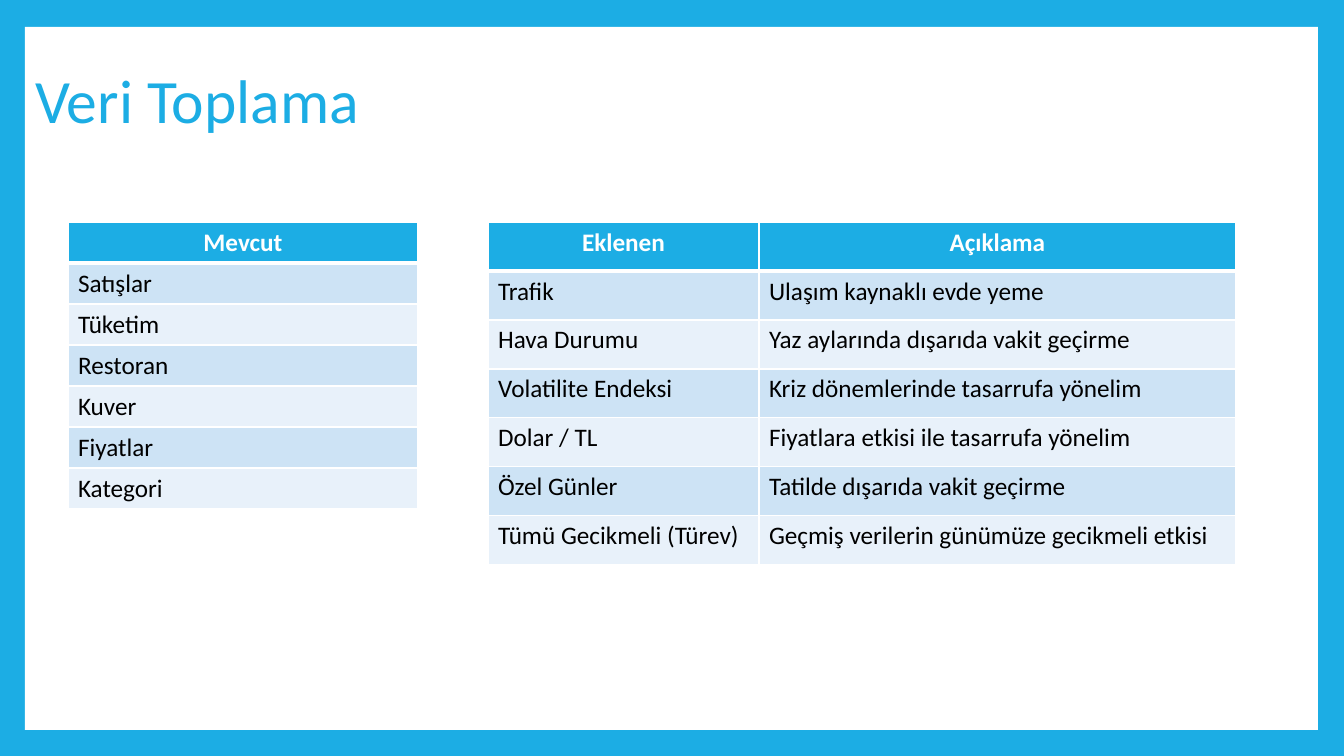
import pptx
import pptx.dml.color
import pptx.enum.shapes
import pptx.enum.text
import pptx.oxml
import pptx.oxml.ns
import pptx.util

THEME = {
    "accent": "1CADE4", "white": "FFFFFF", "black": "000000",
    "bands": ("CDE3F5", "E8F1FA"),
    "font": "Calibri", "title_size": 44, "table_size": 18,
    "thin": 1, "thick": 3,
}
RGB = pptx.dml.color.RGBColor.from_string
ALIGN = pptx.enum.text.PP_ALIGN
EMU_PER_PX = 12192000 / 1344


def px(*lengths):
    """Turn px lengths into a list of EMU lengths."""
    return [pptx.util.Emu(round(n * EMU_PER_PX)) for n in lengths]


def add_text(p, text, size, color, bold=False):
    r = p.add_run()
    r.text = text
    r.font.name, r.font.size, r.font.bold = THEME["font"], pptx.util.Pt(size), bold
    r.font.color.rgb = RGB(color)


prs = pptx.Presentation()
prs.slide_width, prs.slide_height = px(1344, 756)
s = prs.slides.add_slide(prs.slide_layouts[5])
s.background.fill.solid()
s.background.fill.fore_color.rgb = RGB(THEME["accent"])

# White panel, placed behind the title
panel = s.shapes.add_shape(pptx.enum.shapes.MSO_SHAPE.RECTANGLE, *px(25, 27, 1293, 703))
panel.shadow.inherit = False
panel.fill.solid()
panel.fill.fore_color.rgb = RGB(THEME["white"])
panel.line.fill.background()
s.shapes.title.element.addprevious(panel.element)

title = s.shapes.title
title.left, title.top, title.width, title.height = px(25, 29, 1089, 149)
tf = title.text_frame
tf.word_wrap = True
tf.vertical_anchor = pptx.enum.text.MSO_ANCHOR.MIDDLE
p = tf.paragraphs[0]
p.alignment, p.line_spacing = ALIGN.LEFT, 0.9
add_text(p, "Veri Toplama", THEME["title_size"], THEME["accent"])

# Each table: left edge, column widths, row height, rows with the header first
TABLE_TOP = 222
tables = [
    (68, [350], 41, [
        ["Mevcut"], ["Satışlar"], ["Tüketim"], ["Restoran"],
        ["Kuver"], ["Fiyatlar"], ["Kategori"],
    ]),
    (488, [271, 477], 49, [
        ["Eklenen", "Açıklama"],
        ["Trafik", "Ulaşım kaynaklı evde yeme"],
        ["Hava Durumu", "Yaz aylarında dışarıda vakit geçirme"],
        ["Volatilite Endeksi", "Kriz dönemlerinde tasarrufa yönelim"],
        ["Dolar / TL", "Fiyatlara etkisi ile tasarrufa yönelim"],
        ["Özel Günler", "Tatilde dışarıda vakit geçirme"],
        ["Tümü Gecikmeli (Türev)", "Geçmiş verilerin günümüze gecikmeli etkisi"],
    ]),
]

for left, widths, row_height, rows in tables:
    frame = s.shapes.add_table(
        len(rows), len(widths),
        *px(left, TABLE_TOP, sum(widths), row_height * len(rows)))
    table = frame.table
    for column, width in zip(table.columns, px(*widths)):
        column.width = width
    for i, row in enumerate(rows):
        table.rows[i].height = px(row_height)[0]
        is_header = i == 0
        for j, text in enumerate(row):
            cell = table.cell(i, j)
            tcPr = cell._tc.get_or_add_tcPr()
            for side in "LRTB":
                under_header = (i, side) in ((0, "B"), (1, "T"))
                weight = THEME["thick" if under_header else "thin"]
                tcPr.append(pptx.oxml.parse_xml(
                    f'<a:ln{side} {pptx.oxml.ns.nsdecls("a")} w="{pptx.util.Pt(weight)}">'
                    f'<a:solidFill><a:srgbClr val="{THEME["white"]}"/></a:solidFill>'
                    f'</a:ln{side}>'))
            cell.fill.solid()
            cell.fill.fore_color.rgb = RGB(
                THEME["accent"] if is_header else THEME["bands"][(i - 1) % 2])
            p = cell.text_frame.paragraphs[0]
            p.alignment = ALIGN.CENTER if is_header else ALIGN.LEFT
            add_text(p, text, THEME["table_size"],
                     THEME["white" if is_header else "black"], is_header)

prs.save("out.pptx")
